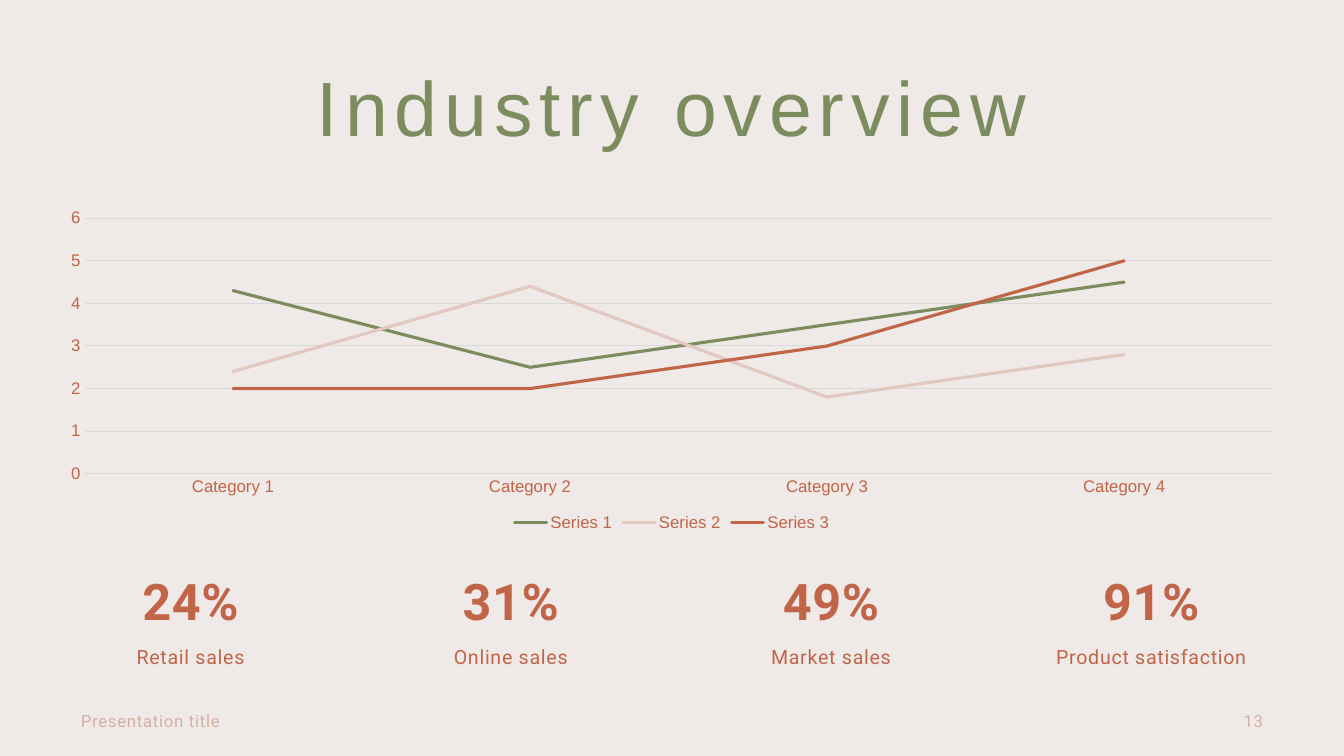
"""Build the industry overview slide with a line chart and four key figures."""
import pptx
import pptx.chart.data
import pptx.dml.color
import pptx.enum.chart
import pptx.enum.text
import pptx.oxml
import pptx.oxml.ns
import pptx.util

PX = 9525
COLORS = {
    "background": "EFE9E7",
    "green": "7C8C5F",
    "blush": "E1C9C1",
    "rust": "C16548",
    "footer": "D3B0A5",
    "grid": "D9D9D9",
}
ALIGN = pptx.enum.text.PP_ALIGN
ANCHOR = pptx.enum.text.MSO_ANCHOR
TITLE = {
    "font": {"name": "Arial", "size": pptx.util.Pt(55)},
    "color": "green", "spacing": 5, "inset": (0, 0),
    "paragraph": {"alignment": ALIGN.CENTER, "line_spacing": 0.9},
    "anchor": ANCHOR.TOP,
}
FIGURE = {
    "font": {"name": "Roboto", "size": pptx.util.Pt(36), "bold": True},
    "color": "rust", "spacing": 0.5, "inset": (0, 0),
    "paragraph": {"alignment": ALIGN.CENTER, "line_spacing": 0.9},
    "anchor": ANCHOR.MIDDLE,
}
LABEL = {
    "font": {"name": "Roboto", "size": pptx.util.Pt(14)},
    "color": "rust", "spacing": 0.5, "inset": (0, 0),
    "paragraph": {"alignment": ALIGN.CENTER, "line_spacing": 1.5},
    "anchor": ANCHOR.TOP,
}
FOOTER = {
    "font": {"name": "Roboto", "size": pptx.util.Pt(12)},
    "color": "footer", "spacing": 0.5, "inset": (10, 5),
    "paragraph": {"alignment": ALIGN.LEFT},
    "anchor": ANCHOR.MIDDLE,
}
PAGE_NUMBER = {**FOOTER, "paragraph": {"alignment": ALIGN.RIGHT}}
CATEGORIES = ["Category 1", "Category 2", "Category 3", "Category 4"]
SERIES = [
    ("Series 1", "green", (4.3, 2.5, 3.5, 4.5)),
    ("Series 2", "blush", (2.4, 4.4, 1.8, 2.8)),
    ("Series 3", "rust", (2, 2, 3, 5)),
]
STATS = [
    ("24%", "Retail sales"),
    ("31%", "Online sales"),
    ("49%", "Market sales"),
    ("91%", "Product satisfaction"),
]


def set_all(target, values):
    """Set each named attribute of the target."""
    for name, value in values.items():
        setattr(target, name, value)


def rgb(name):
    """Return the named colour."""
    return pptx.dml.color.RGBColor.from_string(COLORS[name])


def emu(*lengths):
    """Turn pixel lengths into EMU."""
    return [pptx.util.Emu(length * PX) for length in lengths]


def add_text(s, text, box, style):
    """Add one styled line of text in a box."""
    tf = s.shapes.add_textbox(*emu(*box)).text_frame
    across, down = emu(*style["inset"])
    set_all(tf, {
        "word_wrap": True, "vertical_anchor": style["anchor"],
        "margin_left": across, "margin_right": across,
        "margin_top": down, "margin_bottom": down,
    })
    p = tf.paragraphs[0]
    set_all(p, style["paragraph"])
    r = p.add_run()
    r.text = text
    set_all(r.font, style["font"])
    r.font.color.rgb = rgb(style["color"])
    r._r.get_or_add_rPr().set("spc", str(int(style["spacing"] * 100)))


def style_line(line, color, width):
    """Give a line its colour and width in points."""
    line.color.rgb = rgb(color)
    line.width = pptx.util.Pt(width)


def style_chart_font(font):
    """Set the font of the axis labels or the legend."""
    set_all(font, {"name": "Arial", "size": pptx.util.Pt(12)})
    font.color.rgb = rgb("rust")


def add_line_chart(s, box):
    """Add the line chart with its axes and legend."""
    data = pptx.chart.data.CategoryChartData()
    data.categories = CATEGORIES
    for name, _, values in SERIES:
        data.add_series(name, values)
    kind = pptx.enum.chart.XL_CHART_TYPE.LINE
    chart = s.shapes.add_chart(kind, *emu(*box), data).chart
    set_all(chart, {"has_title": False, "has_legend": True})
    set_all(chart.font, {"name": "Roboto", "size": pptx.util.Pt(10)})
    set_all(chart.legend, {
        "position": pptx.enum.chart.XL_LEGEND_POSITION.BOTTOM,
        "include_in_layout": False,
    })
    style_chart_font(chart.legend.font)
    for axis in (chart.category_axis, chart.value_axis):
        axis.major_tick_mark = pptx.enum.chart.XL_TICK_MARK.NONE
        axis.minor_tick_mark = pptx.enum.chart.XL_TICK_MARK.NONE
        style_chart_font(axis.tick_labels.font)
    style_line(chart.category_axis.format.line, "grid", 0.75)
    set_all(chart.value_axis, {
        "minimum_scale": 0, "maximum_scale": 6, "major_unit": 1,
        "has_major_gridlines": True,
    })
    chart.value_axis.format.line.fill.background()
    style_line(chart.value_axis.major_gridlines.format.line, "grid", 0.75)
    plot = chart.plots[0]
    plot.vary_by_categories = False
    for series, (_, color, _) in zip(plot.series, SERIES):
        series.smooth = False
        series.marker.style = pptx.enum.chart.XL_MARKER_STYLE.NONE
        style_line(series.format.line, color, 2.25)
        series.format.line._get_or_add_ln().set("cap", "rnd")


def add_stat(s, left, figure, label):
    """Add a key figure above its label."""
    add_text(s, figure, (left, 549, 229, 52), FIGURE)
    add_text(s, label, (left, 603, 229, 38), LABEL)


def main():
    """Build and save the slide."""
    prs = pptx.Presentation()
    prs.slide_width, prs.slide_height = emu(1280, 720)
    s = prs.slides.add_slide(prs.slide_layouts[6])
    s.background.fill.solid()
    s.background.fill.fore_color.rgb = rgb("background")
    add_text(s, "Industry overview", (67, 67, 1146, 163), TITLE)
    add_line_chart(s, (44, 193, 1192, 317))
    for i, (figure, label) in enumerate(STATS):
        add_stat(s, 67 + 305 * i, figure, label)
    add_text(s, "Presentation title", (67, 667, 432, 38), FOOTER)
    add_text(s, "13", (925, 667, 288, 38), PAGE_NUMBER)
    prs.save("out.pptx")


if __name__ == "__main__":
    main()
